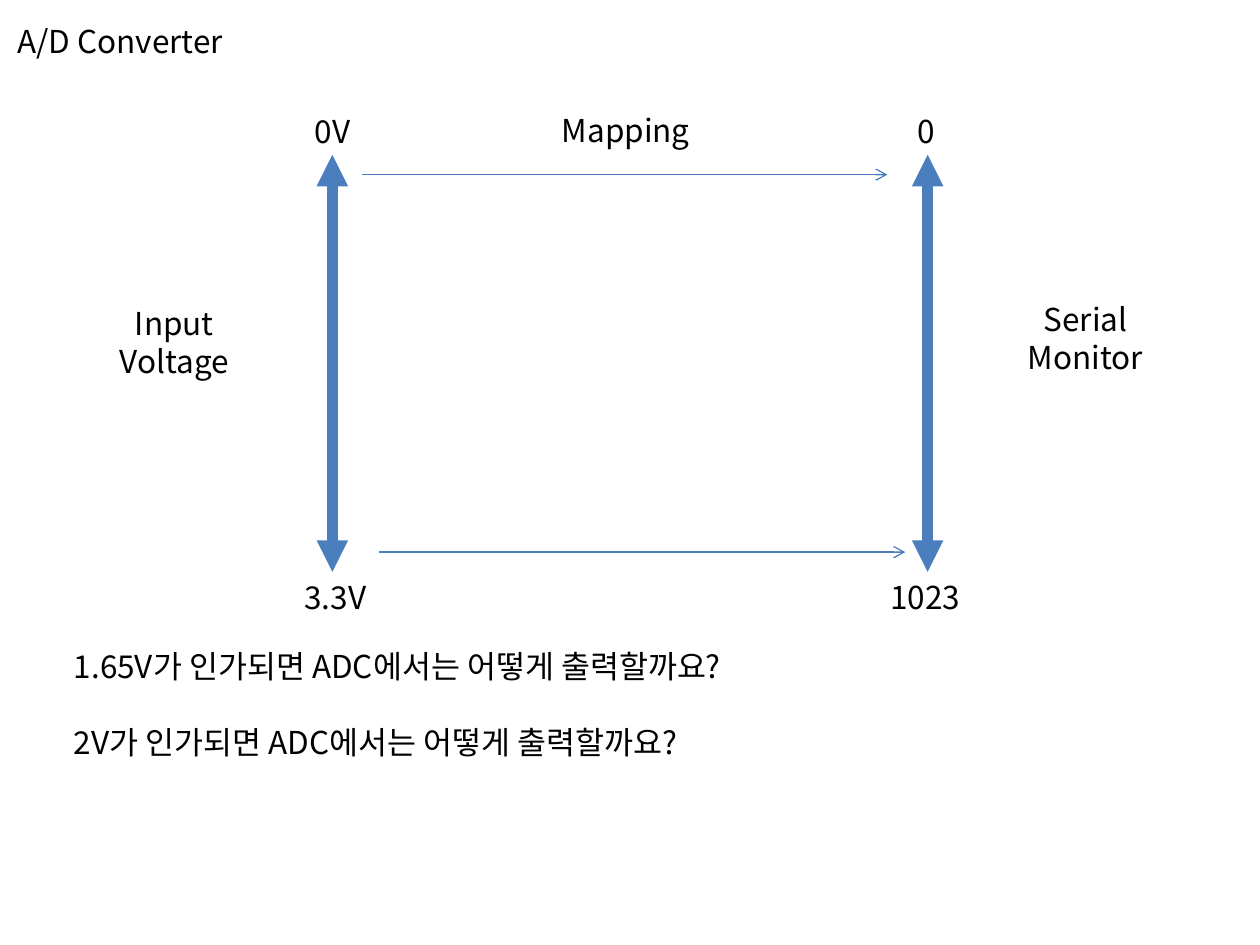
from dataclasses import dataclass

from lxml import etree
from pptx import Presentation
from pptx.dml.color import RGBColor
from pptx.enum.shapes import MSO_CONNECTOR
from pptx.enum.text import PP_ALIGN
from pptx.oxml.ns import qn
from pptx.slide import Slide
from pptx.util import Cm, Pt

LEFT, CENTER = PP_ALIGN.LEFT, PP_ALIGN.CENTER
STRAIGHT = MSO_CONNECTOR.STRAIGHT
COLORS = {"text": "000000", "arrow": "4B7EBC"}
LINE_HEIGHT = Pt(21.7)


@dataclass
class DiagramSlide:
    """Hold the diagram style and add elements to the current slide."""

    slide: Slide
    font_name: str = "Noto Sans CJK KR"
    font_size: float = 18

    def text(self, content, left, top, width, height=1.02, align=LEFT, gap=0):
        box = self.slide.shapes.add_textbox(Cm(left), Cm(top), Cm(width), Cm(height))
        text_frame = box.text_frame
        text_frame.word_wrap = True
        text_frame.text = content
        for index, paragraph in enumerate(text_frame.paragraphs):
            paragraph.alignment = align
            paragraph.line_spacing = LINE_HEIGHT
            if index and gap:
                paragraph.space_before = gap
            for run in paragraph.runs:
                run.font.name = self.font_name
                run.font.size = Pt(self.font_size)
                run.font.color.rgb = RGBColor.from_string(COLORS["text"])

    def arrow(self, start, end, width, **ends):
        connector = self.slide.shapes.add_connector(
            STRAIGHT, *(Cm(value) for value in (*start, *end))
        )
        connector.line.color.rgb = RGBColor.from_string(COLORS["arrow"])
        connector.line.width = Pt(width)
        line = connector.line._get_or_add_ln()
        for tag, kind in ends.items():
            etree.SubElement(line, qn(f"a:{tag}")).set("type", kind)
        etree.SubElement(connector._element.spPr, qn("a:effectLst"))


def main():
    presentation = Presentation()
    presentation.slide_width, presentation.slide_height = Cm(25.4), Cm(19.05)
    slide = presentation.slides.add_slide(presentation.slide_layouts[6])
    diagram = DiagramSlide(slide)

    diagram.text("A/D Converter", 0.1, 0.32, 16.92)
    questions = "1.65V가 인가되면 ADC에서는 어떻게 출력할까요?\n2V가 인가되면 ADC에서는 어떻게 출력할까요?"
    diagram.text(questions, 1.24, 12.92, 23.88, 2.57, gap=LINE_HEIGHT)

    axis_top, axis_bottom = 3.12, 11.53
    for axis_x in (6.7, 18.7):
        diagram.arrow(
            (axis_x, axis_top), (axis_x, axis_bottom), 6,
            headEnd="triangle", tailEnd="triangle",
        )

    limits = (
        ("0V", 6.1, 2.13),
        ("3.3V", 5.89, axis_bottom),
        ("0", 18.24, 2.13),
        ("1023", 17.7, axis_bottom),
    )
    for label, left, top in limits:
        diagram.text(label, left, top, 2.01)

    captions = (
        ("Serial Monitor", 20.27, 5.92, 1.8),
        ("Input\nVoltage", 1.9, 6, 1.8),
        ("Mapping", 11, 2.1, 1.02),
    )
    for caption, left, top, height in captions:
        diagram.text(caption, left, top, 3.23, height, CENTER)

    for start_x, y in ((7.29, 3.52), (7.65, 11.13)):
        diagram.arrow((start_x, y), (start_x + 10.6, y), 0.75, tailEnd="arrow")

    presentation.save("out.pptx")


if __name__ == "__main__":
    main()
